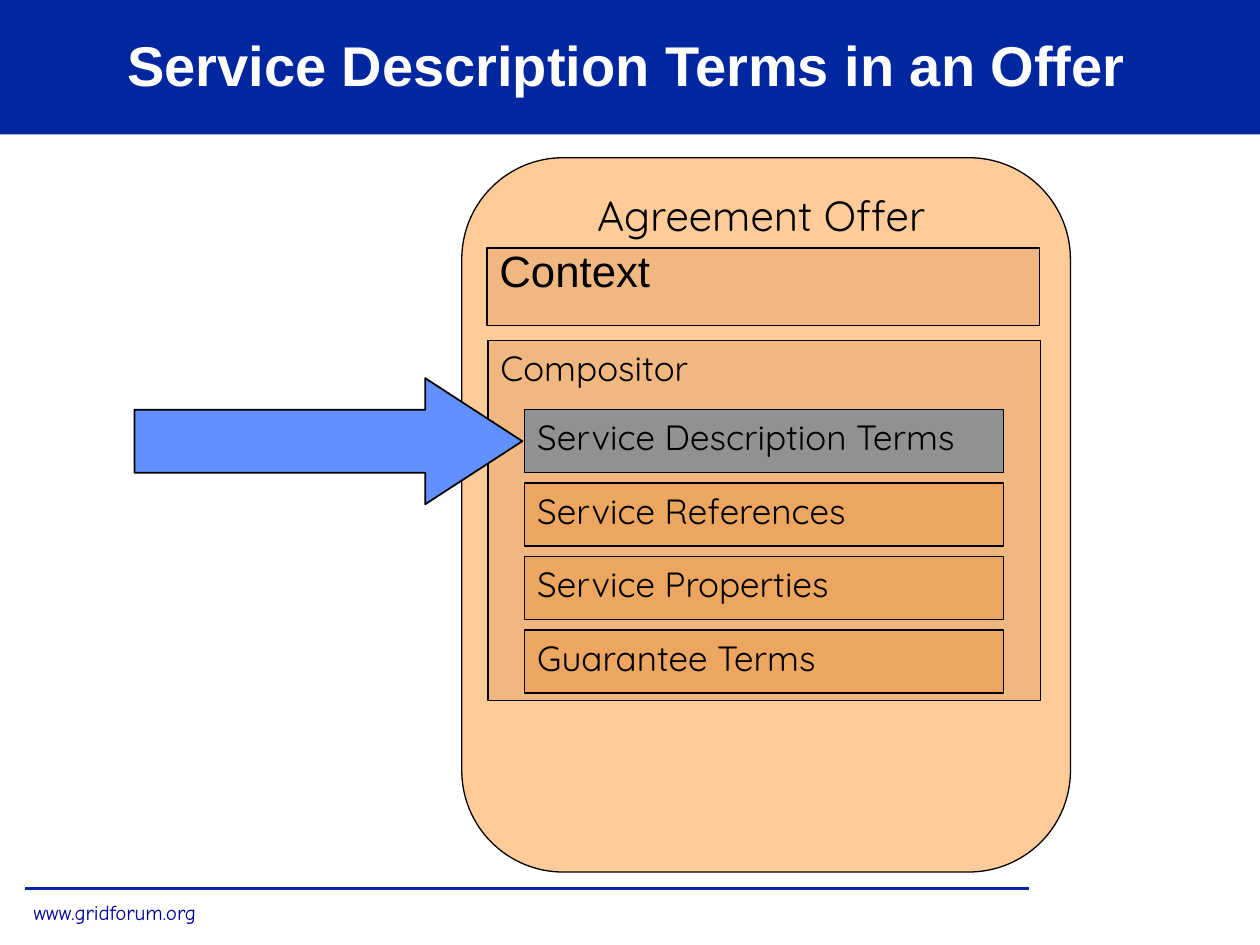
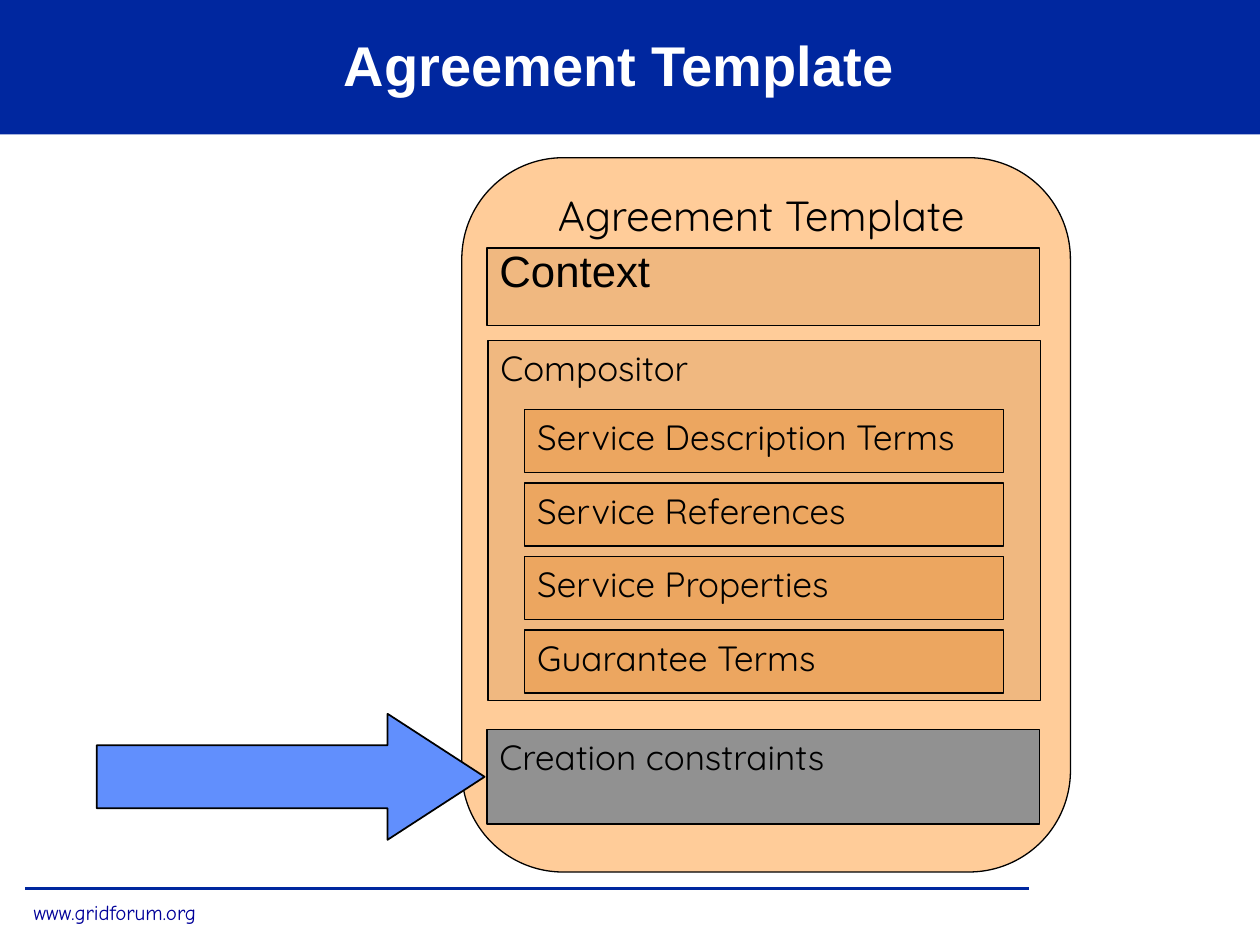
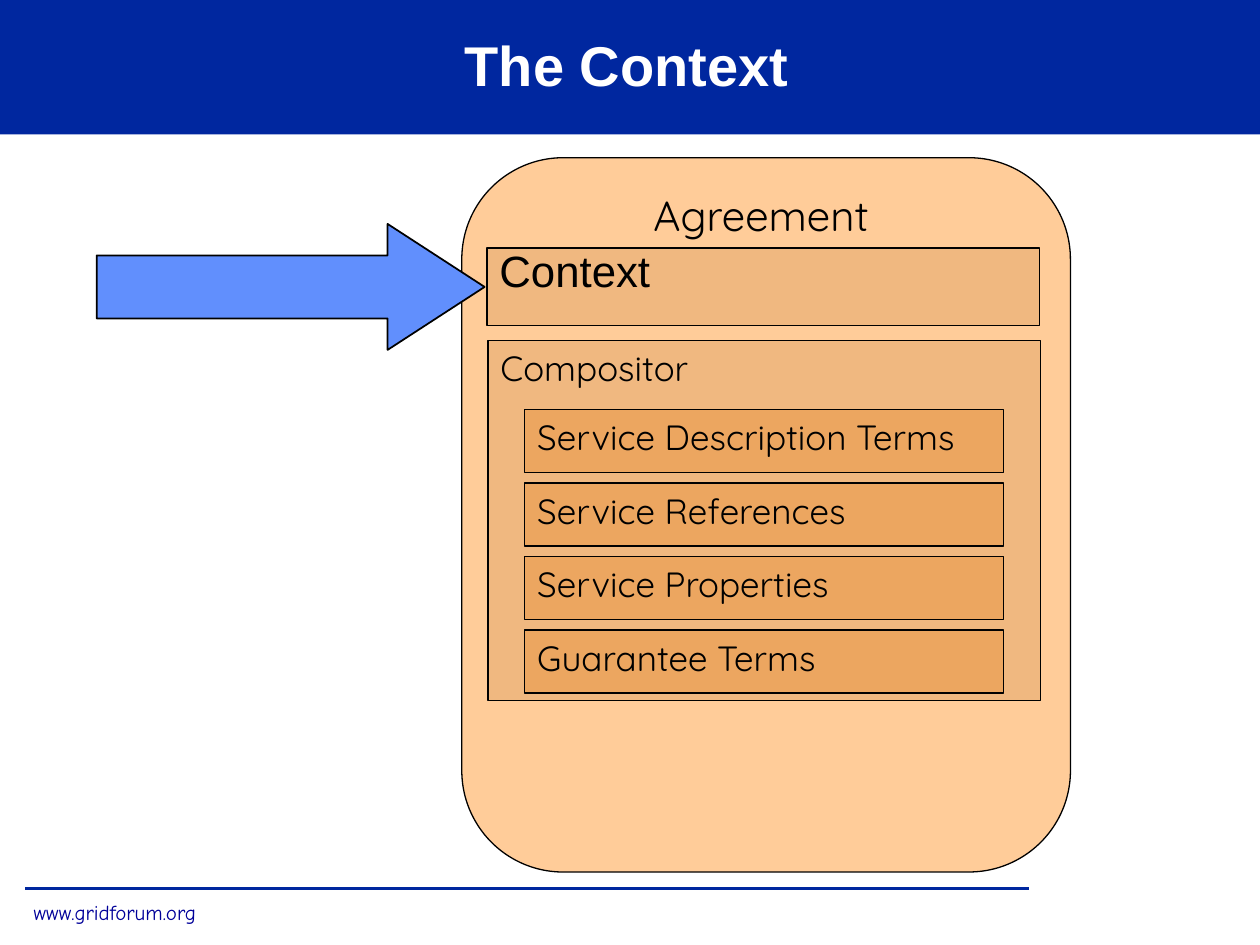
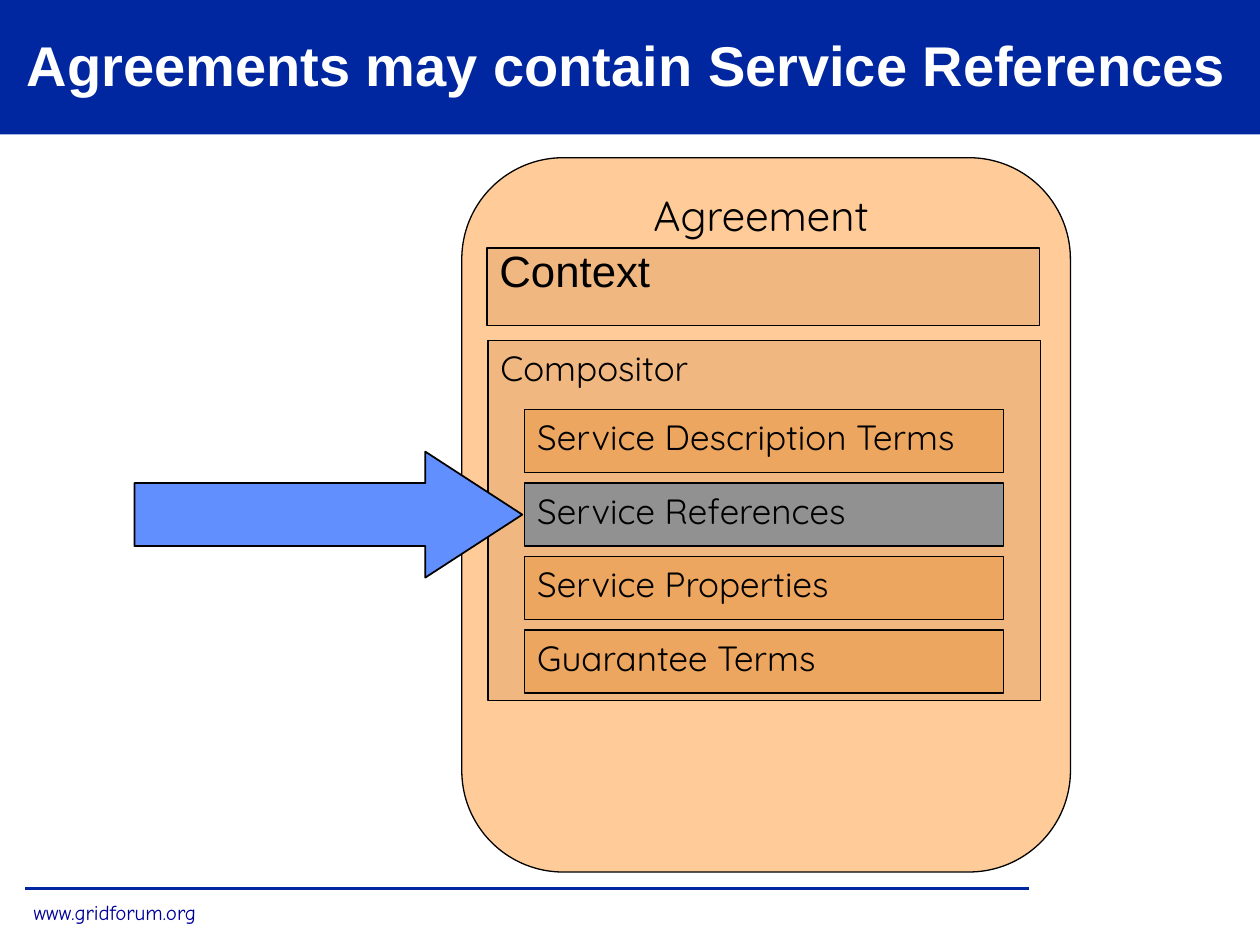
from dataclasses import dataclass

from lxml.etree import SubElement
from pptx import Presentation
from pptx.dml.color import RGBColor
from pptx.enum.shapes import MSO_CONNECTOR, MSO_SHAPE
from pptx.enum.text import MSO_ANCHOR, PP_ALIGN
from pptx.oxml.ns import qn
from pptx.util import Cm, Pt

NAVY = RGBColor(0x00, 0x27, 0x9F)
LINK_BLUE = RGBColor(0x00, 0x00, 0x99)
ARROW_BLUE = RGBColor(0x61, 0x8F, 0xFD)
PEACH = RGBColor(0xFF, 0xCC, 0x99)
SAND = RGBColor(0xF0, 0xB8, 0x80)
ORANGE = RGBColor(0xEC, 0xA6, 0x60)
GREY = RGBColor(0x91, 0x91, 0x91)
BLACK = RGBColor(0x00, 0x00, 0x00)
WHITE = RGBColor(0xFF, 0xFF, 0xFF)

HEADING_FONT = "Arial"
LABEL_FONT = "Quicksand"
FOOTER_FONT = "Comic Neue"

TERMS = ["Service Description Terms", "Service References",
         "Service Properties", "Guarantee Terms"]
CONTEXT = "Context"
CONSTRAINTS = "Creation constraints"


@dataclass
class Box:
    """A rectangle in centimetres."""
    left: float
    top: float
    width: float
    height: float

    def inner(self, left, top, width, height):
        """Return a box whose position is given relative to this one."""
        return Box(self.left + left, self.top + top, width, height)

    def lengths(self):
        return [Cm(v) for v in (self.left, self.top, self.width, self.height)]


SLIDE = Box(0, 0, 25.4, 19.05)
AGREEMENT = Box(9.31, 3.18, 12.27, 14.4)


def add_block(slide, box, fill, preset=MSO_SHAPE.RECTANGLE, line_width=0.75):
    block = slide.shapes.add_shape(preset, *box.lengths())
    block.shadow.inherit = False
    block.fill.solid()
    block.fill.fore_color.rgb = fill
    if line_width:
        block.line.color.rgb = BLACK
        block.line.width = Pt(line_width)
    else:
        block.line.fill.background()
    return block


def write(shape, text, size, font=LABEL_FONT, color=BLACK, bold=False,
          align=PP_ALIGN.LEFT, anchor=MSO_ANCHOR.TOP, wrap=True):
    frame = shape.text_frame
    frame.text = text
    frame.word_wrap = wrap
    frame.vertical_anchor = anchor
    paragraph = frame.paragraphs[0]
    paragraph.alignment = align
    run_font = paragraph.runs[0].font
    run_font.name = font
    run_font.size = Pt(size)
    run_font.bold = bold
    run_font.color.rgb = color
    return frame


def add_title_band(slide, box, title):
    add_block(slide, box, NAVY, line_width=0)
    heading = slide.shapes.add_textbox(
        *box.inner(0, 0, box.width - 0.13, box.height - 0.13).lengths())
    write(heading, title, 32, HEADING_FONT, WHITE, bold=True,
          align=PP_ALIGN.CENTER, anchor=MSO_ANCHOR.MIDDLE)


def add_footer(slide, box):
    rule = slide.shapes.add_connector(
        MSO_CONNECTOR.STRAIGHT, Cm(box.left + 0.08), Cm(box.top),
        Cm(box.left + box.width), Cm(box.top))
    rule.line.color.rgb = NAVY
    rule.line.width = Pt(2)
    SubElement(rule._element.spPr, qn("a:effectLst"))
    address = slide.shapes.add_textbox(*box.inner(0, 0.1, 3.78, 0.76).lengths())
    write(address, "www.gridforum.org", 12, FOOTER_FONT, LINK_BLUE, wrap=False)


def add_compositor(slide, box, highlight):
    """Draw the compositor and return the boxes of its terms by name."""
    write(add_block(slide, box, SAND), "Compositor", 20)
    term_boxes = {}
    for row, term in enumerate(TERMS):
        term_boxes[term] = box.inner(0.74, 1.4 + row * 1.48, 9.65, 1.27)
        fill = GREY if term == highlight else ORANGE
        write(add_block(slide, term_boxes[term], fill), term, 20)
    return term_boxes


def add_agreement(slide, box, heading, highlight):
    """Draw the agreement and return the boxes of its parts by name."""
    panel = add_block(slide, box, PEACH, MSO_SHAPE.ROUNDED_RECTANGLE)
    frame = write(panel, heading, 24, align=PP_ALIGN.CENTER, wrap=False)
    frame.margin_left = frame.margin_top = Cm(0.05)

    parts = add_compositor(slide, box.inner(0.53, 3.68, 11.13, 7.26), highlight)
    parts[CONTEXT] = box.inner(0.51, 1.82, 11.13, 1.57)
    context = add_block(slide, parts[CONTEXT], SAND)
    write(context, CONTEXT, 25, HEADING_FONT).paragraphs[0].line_spacing = 0.8
    if highlight == CONSTRAINTS:
        parts[CONSTRAINTS] = box.inner(0.51, 11.53, 11.13, 1.9)
        write(add_block(slide, parts[CONSTRAINTS], GREY), CONSTRAINTS, 20)
    return parts


def add_pointer(slide, target):
    """Place an arrow whose tip meets the middle of the target's left side."""
    width, height, gap = 7.82, 2.54, 0.05
    box = target.inner(-width - gap, (target.height - height) / 2, width, height)
    arrow = add_block(slide, box, ARROW_BLUE, MSO_SHAPE.RIGHT_ARROW, line_width=1)
    arrow.adjustments[1] = 0.77


def add_agreement_slide(deck, title, heading, highlight):
    slide = deck.slides.add_slide(deck.slide_layouts[6])
    add_title_band(slide, SLIDE.inner(0, 0, SLIDE.width, 2.71), title)
    add_footer(slide, SLIDE.inner(0.43, 17.91, 20.32, 0.86))
    parts = add_agreement(slide, AGREEMENT, heading, highlight)
    add_pointer(slide, parts[highlight])


def main():
    deck = Presentation()
    deck.slide_width, deck.slide_height = Cm(SLIDE.width), Cm(SLIDE.height)
    for title, heading, highlight in [
        ("Service Description Terms in an Offer", "Agreement Offer", TERMS[0]),
        ("Agreement Template ", "Agreement Template", CONSTRAINTS),
        ("The Context", "Agreement", CONTEXT),
        ("Agreements may contain Service References", "Agreement", TERMS[1]),
    ]:
        add_agreement_slide(deck, title, heading, highlight)
    deck.save("out.pptx")


if __name__ == "__main__":
    main()
